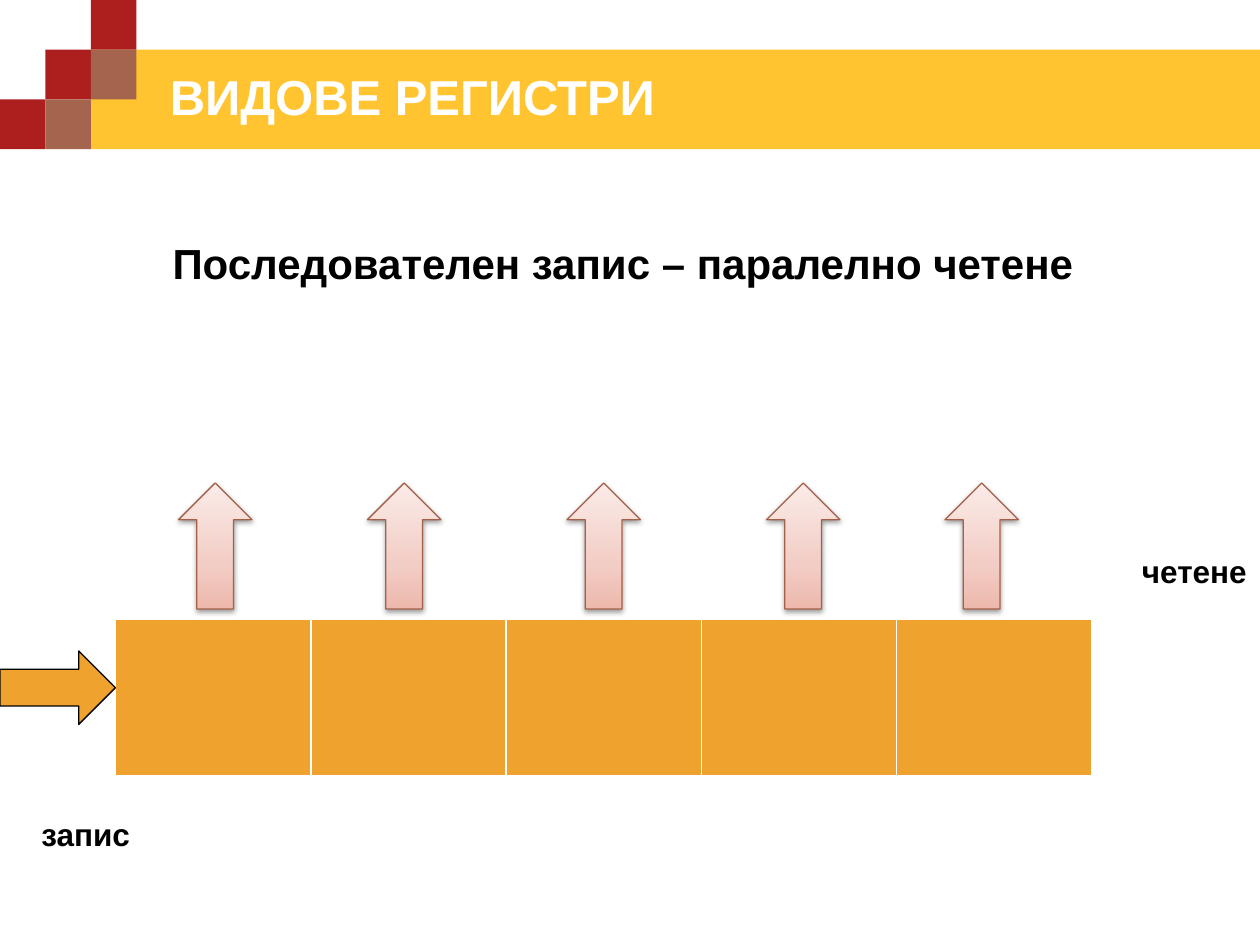
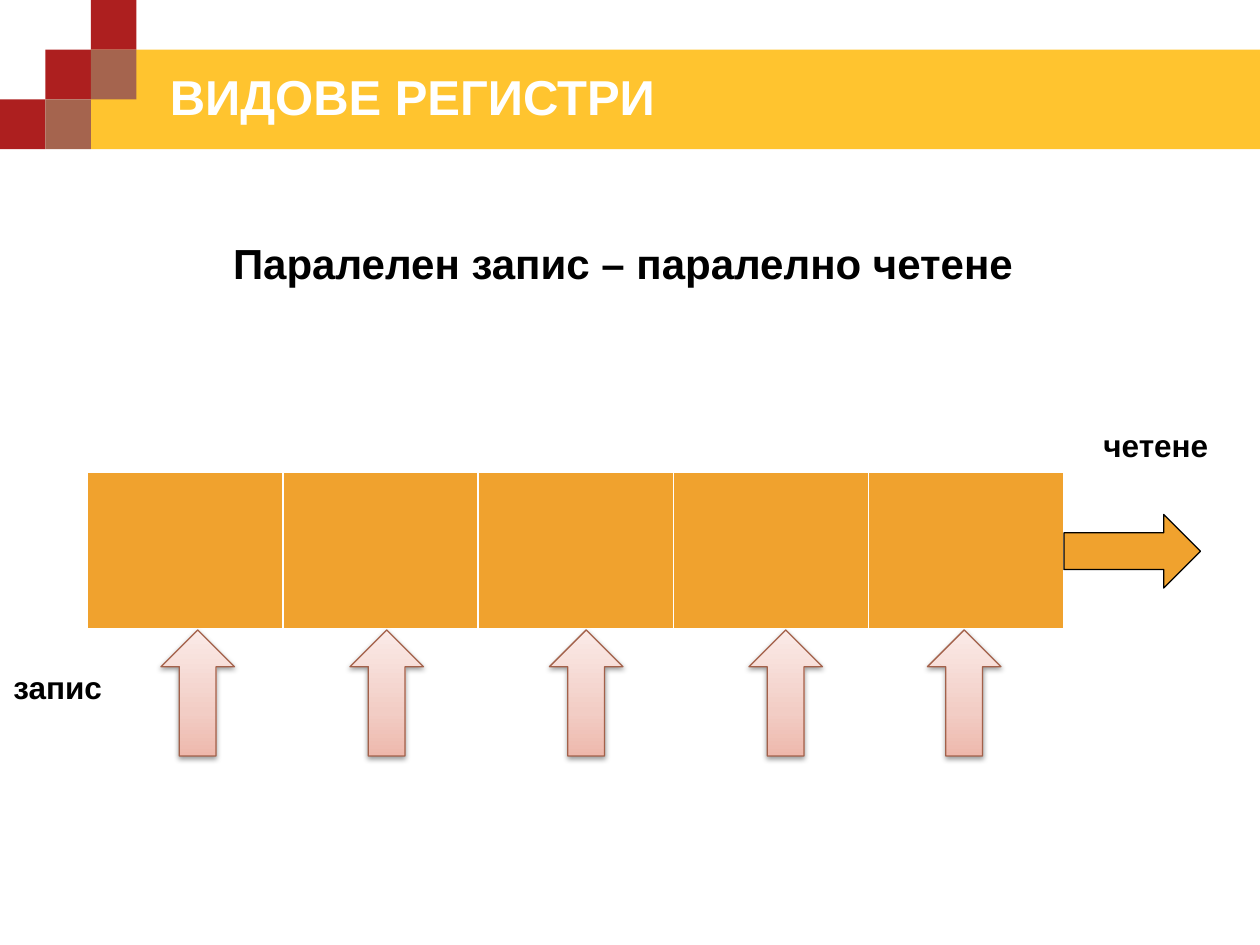
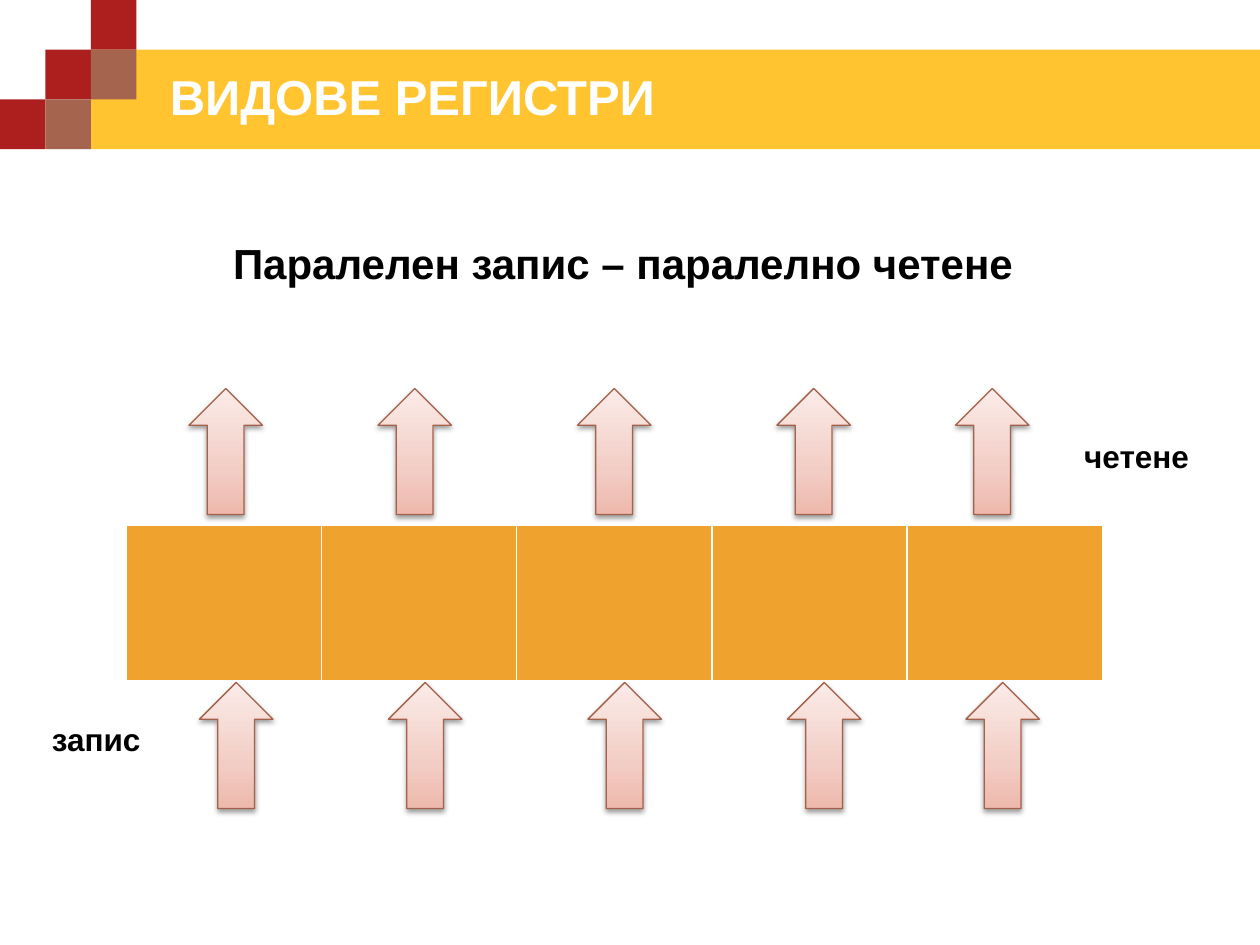
from lxml.etree import SubElement
from pptx import Presentation
from pptx.dml.color import RGBColor
from pptx.enum.shapes import MSO_SHAPE
from pptx.enum.text import MSO_ANCHOR, MSO_AUTO_SIZE, PP_ALIGN
from pptx.oxml.ns import qn
from pptx.util import Pt

COLORS = {
    "band": "FFC42F", "red": "AD1F1F", "brown": "A5644E",
    "white": "FFFFFF", "black": "000000", "cell": "F0A22E", "edge": "A3614A",
}
GRADIENT = [(0, "EEB8AC"), (35, "F2CDC5"), (100, "FBEBE8")]
FONT = "Arial"
SLIDE_W, SLIDE_H = 720, 540
SQUARE_W, SQUARE_H = 26, 28.4
CELLS, CELL_W, CELL_H = 5, 111.6, 90
REGISTER_W = CELLS * CELL_W
ARROW_STEPS = [0, 108, 222, 336, 438]
ARROW_W, ARROW_L = 42, 72

# Offsets from the top left corner of the register
READ_ARROWS, WRITE_ARROWS = (36, -78), (42, CELL_H)
WRITE_LABEL = (-50, 108)

TITLE = "ВИДОВЕ РЕГИСТРИ"
SLIDES = [
    {"heading": "Последователен запис – паралелно четене", "heading_w": 534,
     "register": (66, 354), "arrows": [READ_ARROWS],
     "serial": (-66, 18, 66), "read_label": (579, -42)},
    {"heading": "Паралелен запис – паралелно четене", "heading_w": 464,
     "register": (50, 270), "arrows": [WRITE_ARROWS],
     "serial": (REGISTER_W, 24, 78), "read_label": (573, -30)},
    {"heading": "Паралелен запис – паралелно четене", "heading_w": 464,
     "register": (72, 300), "arrows": [READ_ARROWS, WRITE_ARROWS],
     "serial": None, "read_label": (540, -54)},
]


def rgb(name):
    return RGBColor.from_string(COLORS[name])


def add_shape(s, kind, x, y, w, h, fill=None, line=None):
    sp = s.shapes.add_shape(kind, Pt(x), Pt(y), Pt(w), Pt(h))
    sp.shadow.inherit = False
    if fill:
        sp.fill.solid()
        sp.fill.fore_color.rgb = rgb(fill)
    if line:
        sp.line.color.rgb = rgb(line)
        sp.line.width = Pt(0.75)
    else:
        sp.line.fill.background()
    return sp


def add_text(s, text, x, y, w, h, size, color="black"):
    tf = s.shapes.add_textbox(Pt(x), Pt(y), Pt(w), Pt(h)).text_frame
    p = tf.paragraphs[0]
    p.text = text
    p.font.name, p.font.size, p.font.bold = FONT, Pt(size), True
    p.font.color.rgb = rgb(color)
    return tf


def add_label(s, text, x, y, w, h=29, size=18):
    tf = add_text(s, text, x, y, w, h, size)
    tf.word_wrap = False
    tf.auto_size = MSO_AUTO_SIZE.SHAPE_TO_FIT_TEXT
    tf.paragraphs[0].alignment = PP_ALIGN.CENTER


def add_color(parent, value):
    return SubElement(parent, qn("a:srgbClr"), val=value)


def add_header(s):
    # Band and stepped squares
    band_x = 2 * SQUARE_W
    add_shape(s, MSO_SHAPE.RECTANGLE, band_x, SQUARE_H,
              SLIDE_W - band_x, 2 * SQUARE_H, "band")
    for col, row, color in [(0, 2, "red"), (1, 1, "red"), (2, 0, "red"),
                            (2, 1, "brown"), (1, 2, "brown")]:
        add_shape(s, MSO_SHAPE.RECTANGLE, col * SQUARE_W, row * SQUARE_H,
                  SQUARE_W, SQUARE_H, color)
    # Title
    tf = add_text(s, TITLE, 90, 36, 582, 38, 28, "white")
    tf.word_wrap = True
    tf.vertical_anchor = MSO_ANCHOR.MIDDLE


def add_register(s, x, y):
    table = s.shapes.add_table(1, CELLS, Pt(x), Pt(y),
                               Pt(REGISTER_W), Pt(CELL_H)).table
    for col in table.columns:
        col.width = Pt(CELL_W)
    for cell in table.iter_cells():
        tc_pr = cell._tc.get_or_add_tcPr()
        for side, width in [("L", 1), ("R", 1), ("T", 1), ("B", 3)]:
            ln = SubElement(tc_pr, qn(f"a:ln{side}"), w=str(Pt(width)))
            add_color(SubElement(ln, qn("a:solidFill")), COLORS["white"])
        cell.fill.solid()
        cell.fill.fore_color.rgb = rgb("cell")


def add_parallel_arrow(s, x, y):
    sp = add_shape(s, MSO_SHAPE.UP_ARROW, x, y, ARROW_W, ARROW_L, line="edge")
    # Three-stop gradient, light at the tip
    sp.fill.gradient()
    sp.fill.gradient_angle = 90
    stops = sp._element.spPr.find(".//" + qn("a:gsLst"))
    for stop in list(stops):
        stops.remove(stop)
    for pos, value in GRADIENT:
        add_color(SubElement(stops, qn("a:gs"), pos=str(pos * 1000)), value)
    # Soft shadow below
    effects = sp._element.spPr.find(qn("a:effectLst"))
    shadow = SubElement(effects, qn("a:outerShdw"), blurRad=str(Pt(3.1)),
                        dist=str(Pt(1.6)), dir="5400000", rotWithShape="0")
    SubElement(add_color(shadow, COLORS["black"]), qn("a:alpha"), val="38000")


def add_diagram(s, x, y, arrows, serial, read_label):
    add_register(s, x, y)
    # Serial input or output
    if serial:
        dx, dy, length = serial
        add_shape(s, MSO_SHAPE.RIGHT_ARROW, x + dx, y + dy, length, ARROW_W,
                  "cell", "black")
    # Labels
    for text, (dx, dy), w in [("запис", WRITE_LABEL, 66),
                              ("четене", read_label, 75)]:
        add_label(s, text, x + dx, y + dy, w)
    # Parallel inputs and outputs
    for dx, dy in arrows:
        for step in ARROW_STEPS:
            add_parallel_arrow(s, x + dx + step, y + dy)


def add_register_slide(prs, data):
    s = prs.slides.add_slide(prs.slide_layouts[6])
    add_header(s)
    w = data["heading_w"]
    add_label(s, data["heading"], 356 - w / 2, 132, w, 36, 24)
    add_diagram(s, *data["register"], data["arrows"], data["serial"],
                data["read_label"])


def main():
    prs = Presentation()
    prs.slide_width, prs.slide_height = Pt(SLIDE_W), Pt(SLIDE_H)
    for data in SLIDES:
        add_register_slide(prs, data)
    prs.save("out.pptx")


if __name__ == "__main__":
    main()
